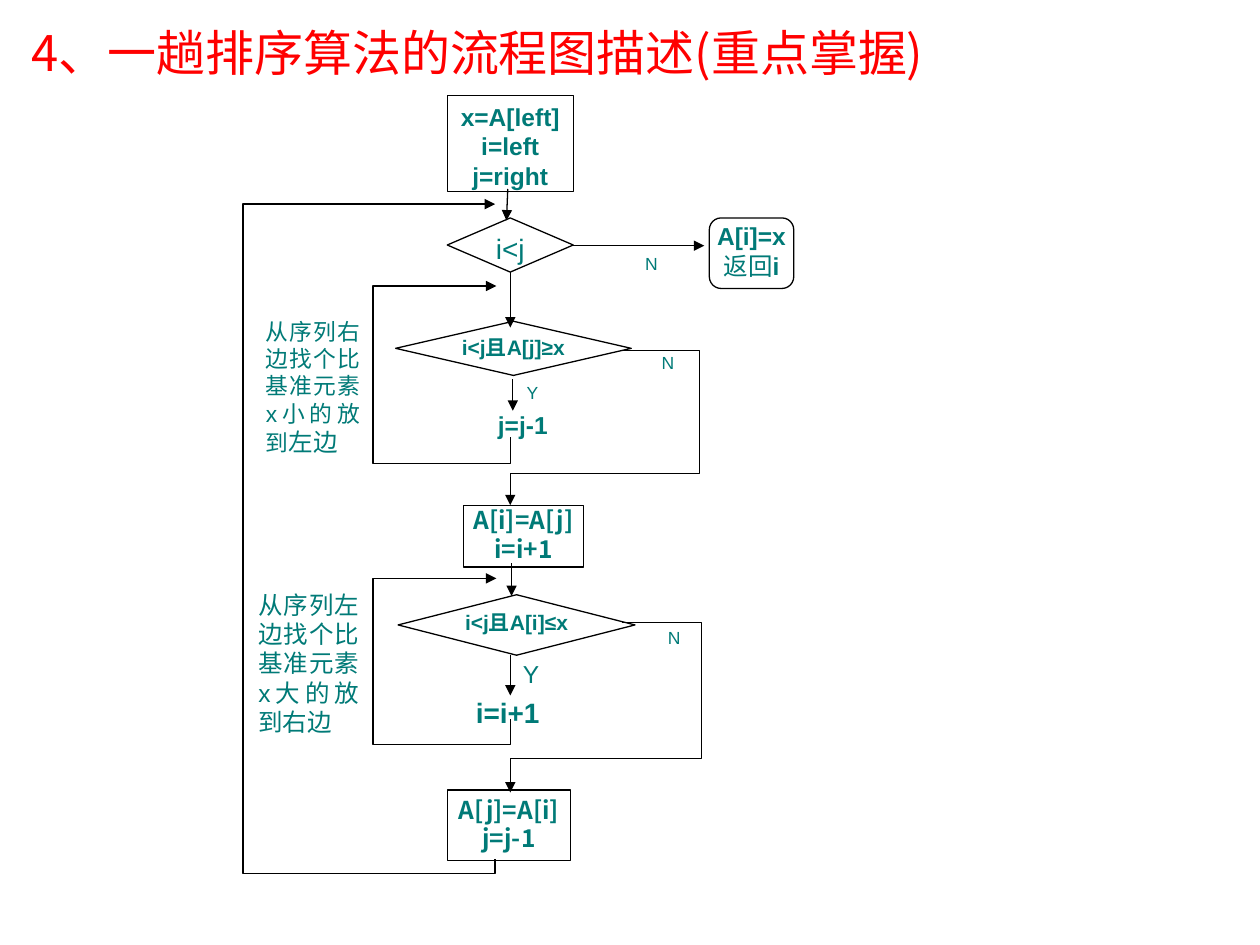
import pptx
import pptx.util
import pptx.dml.color
import pptx.enum.shapes
import pptx.enum.text
from dataclasses import dataclass
from typing import NamedTuple, Optional
from lxml import etree

Pt = pptx.util.Pt
RGB = pptx.dml.color.RGBColor
SHAPE = pptx.enum.shapes.MSO_SHAPE
ALIGN = pptx.enum.text.PP_ALIGN
ANCHOR = pptx.enum.text.MSO_ANCHOR

COLORS = {"title": "FF0000", "text": "007A77", "line": "000000", "paper": "FFFFFF"}
LATIN, CJK = "Arial", "Noto Sans CJK SC"
COLS, ROWS = 100, 75
CELL = pptx.util.Inches(0.1)  # one grid column or row


class Run(NamedTuple):
    text: str
    bold: Optional[bool] = None
    size: Optional[float] = None


@dataclass
class Node:
    """A shape with text; place and margins are in grid cells."""
    at: tuple[float, float, float, float]
    paragraphs: list  # each is a string or a list of Run
    kind: int = SHAPE.RECTANGLE
    size: float = 14
    bold: bool = True
    font: str = LATIN
    outlined: bool = True
    align: int = ALIGN.CENTER
    margins: tuple[float, float] = (0, 0)
    spacing: Optional[float] = None


def cells(*values: float) -> list[int]:
    return [round(v * CELL) for v in values]


def rgb(name: str) -> RGB:
    return RGB.from_string(COLORS[name])


def style_font(font, name: str, size: float, bold: bool, color: str) -> None:
    font.name, font.size, font.bold = name, Pt(size), bold
    font.color.rgb = rgb(color)


def draw_node(s, node: Node) -> None:
    sp = s.shapes.add_shape(node.kind, *cells(*node.at))
    sp.shadow.inherit = False
    sp.fill.solid()
    sp.fill.fore_color.rgb = rgb("paper")
    if node.outlined:
        sp.line.color.rgb = rgb("line")
        sp.line.width = Pt(0.75)
    else:
        sp.line.fill.background()
    tf = sp.text_frame
    tf.word_wrap = node.align != ALIGN.CENTER
    tf.vertical_anchor = ANCHOR.TOP
    tf.margin_left, tf.margin_top = cells(*node.margins)
    tf.margin_right, tf.margin_bottom = tf.margin_left, tf.margin_top
    for i, content in enumerate(node.paragraphs):
        p = tf.paragraphs[0] if i == 0 else tf.add_paragraph()
        p.alignment = node.align
        if node.spacing:
            p.line_spacing = Pt(node.spacing)
        style_font(p.font, node.font, node.size, node.bold, "text")
        for part in [Run(content)] if isinstance(content, str) else content:
            r = p.add_run()
            r.text = part.text
            if part.bold is not None:
                r.font.bold = part.bold
            if part.size is not None:
                r.font.size = Pt(part.size)


def label(x: float, y: float, text: str, size: float = 10) -> Node:
    return Node((x, y, 2.5, 2.2), [text], size=size, bold=False,
                outlined=False, align=ALIGN.JUSTIFY)


def step(x: float, y: float, text: str, size: float) -> Node:
    return Node((x, y, 7, 2.5), [text], size=size, outlined=False)


def draw_arrow(s, *points: tuple[float, float]) -> None:
    """Two points give a connector, more give an open polyline."""
    if len(points) == 2:
        sp = s.shapes.add_connector(pptx.enum.shapes.MSO_CONNECTOR.STRAIGHT,
                                    *cells(*points[0], *points[1]))
        etree.SubElement(sp._element.spPr, pptx.oxml.ns.qn("a:effectLst"))
    else:
        path = [tuple(cells(*pt)) for pt in points]
        builder = s.shapes.build_freeform(*path[0])
        builder.add_line_segments(path[1:], close=False)
        sp = builder.convert_to_shape()
        sp.shadow.inherit = False
        sp.fill.background()
    sp.line.color.rgb = rgb("line")
    sp.line.width = Pt(0.75)
    ln = sp.line._get_or_add_ln()
    etree.SubElement(ln, pptx.oxml.ns.qn("a:tailEnd"), type="triangle")


def draw_loop(s, x: float, start: float, bottom: float, left: float,
              top: float, end: float) -> None:
    draw_arrow(s, (x, start), (x, bottom), (left, bottom), (left, top), (end, top))


def draw_exit(s, x: float, y: float, right: float, turn: float, end: float) -> None:
    draw_arrow(s, (x, y), (right, y), (right, turn), (AXIS, turn), (AXIS, end))


AXIS = 40.5  # column of the main flow

NODES = [
    # Start, main test and result
    Node((35.5, 7.6, 10, 7.6), ["x=A[left]", "i=left", "j=right"], margins=(1, 0.5)),
    Node((35.5, 17.3, 10, 4.3), ["i<j"], SHAPE.DIAMOND, size=16, bold=False),
    Node((56.3, 17.3, 6.7, 5.6), ["A[i]=x", [Run("返回", bold=False), Run("i")]],
         SHAPE.FLOWCHART_ALTERNATE_PROCESS),
    label(51.2, 20.1, "N"),
    # Scan from the right
    Node((31.4, 25.5, 18.7, 4.3), ["i<j且A[j]≥x"], SHAPE.DIAMOND, size=12),
    label(52.5, 27.9, "N"),
    label(41.8, 30.3, "Y"),
    step(38, 32.5, "j=j-1", 14),
    Node((20.7, 25.2, 8.3, 11.3),
         [[Run("从序列右边找个比基准元素x小的放到"), Run("左边", size=14)]],
         size=13, bold=False, outlined=False, align=ALIGN.JUSTIFY, margins=(0.4, 0)),
    Node((36.8, 40.1, 9.5, 4.9), ["A[i]=A[j]", "i=i+1"], font=CJK, spacing=16.5),
    # Scan from the left
    Node((31.6, 47.2, 18.8, 4.8), ["i<j且A[i]≤x"], SHAPE.DIAMOND, size=12),
    label(53, 49.8, "N"),
    label(41.5, 52.3, "Y", 14),
    step(36.8, 55.2, "i=i+1", 16),
    Node((20.5, 46.8, 8, 11.4), ["从序列左边找个比基准元素x大的放到右边"],
         bold=False, outlined=False, align=ALIGN.JUSTIFY),
    Node((35.5, 62.7, 9.8, 5.6), ["A[j]=A[i]", "j=j-1"], font=CJK,
         margins=(0, 0.4), spacing=16.5),
]

STRAIGHT_ARROWS = [
    ((40.3, 15), (40.2, 17.5)),
    ((45.5, 19.5), (55.9, 19.5)),
    ((AXIS, 21.6), (AXIS, 26)),
    ((40.7, 30.1), (40.7, 32.6)),
    ((40.6, 44.7), (40.6, 47.3)),
    ((AXIS, 52), (AXIS, 55.2)),
]


def main() -> None:
    prs = pptx.Presentation()
    prs.slide_width, prs.slide_height = cells(COLS, ROWS)
    s = prs.slides.add_slide(prs.slide_layouts[5])

    # Title
    title = s.shapes.title
    title.left, title.top, title.width, title.height = cells(1.5, 1.3, 87.4, 5.7)
    tf = title.text_frame
    tf.text = "4、一趟排序算法的流程图描述(重点掌握)"
    tf.vertical_anchor = ANCHOR.MIDDLE
    p = tf.paragraphs[0]
    p.alignment = ALIGN.LEFT
    style_font(p.font, CJK, 28, False, "title")

    # Flow chart
    for node in NODES:
        draw_node(s, node)
    for start, end in STRAIGHT_ARROWS:
        draw_arrow(s, start, end)
    draw_loop(s, AXIS, 34.7, 36.8, 29.6, 22.7, 39.4)
    draw_loop(s, AXIS, 57.1, 59.1, 29.6, 45.9, 39.4)
    draw_loop(s, 39.3, 68.2, 69.3, 19.3, 16.2, 39.3)
    draw_exit(s, 49.3, 27.8, 55.5, 37.6, 40.1)
    draw_exit(s, 49.4, 49.4, 55.7, 60.2, 62.9)

    prs.save("out.pptx")


if __name__ == "__main__":
    main()
